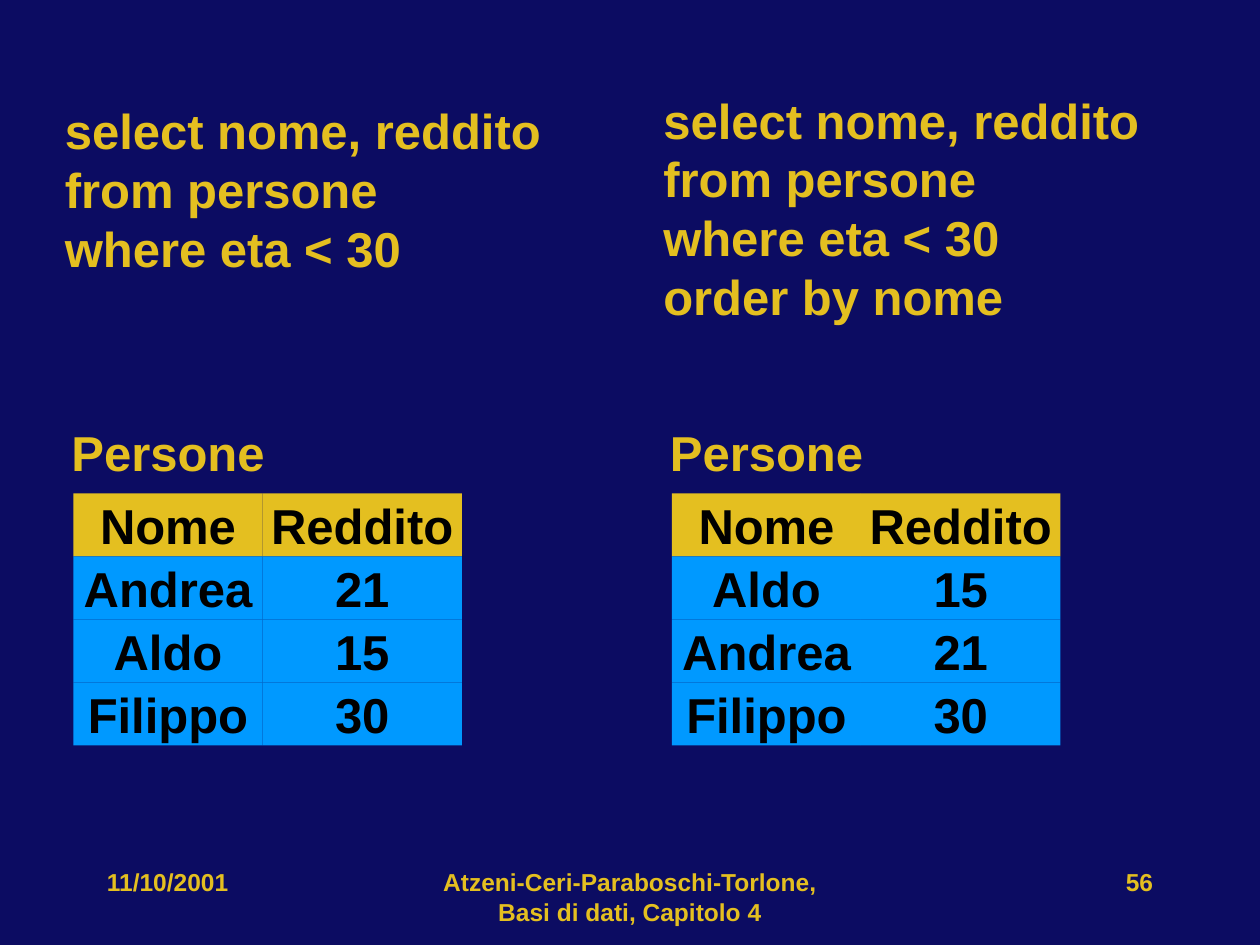
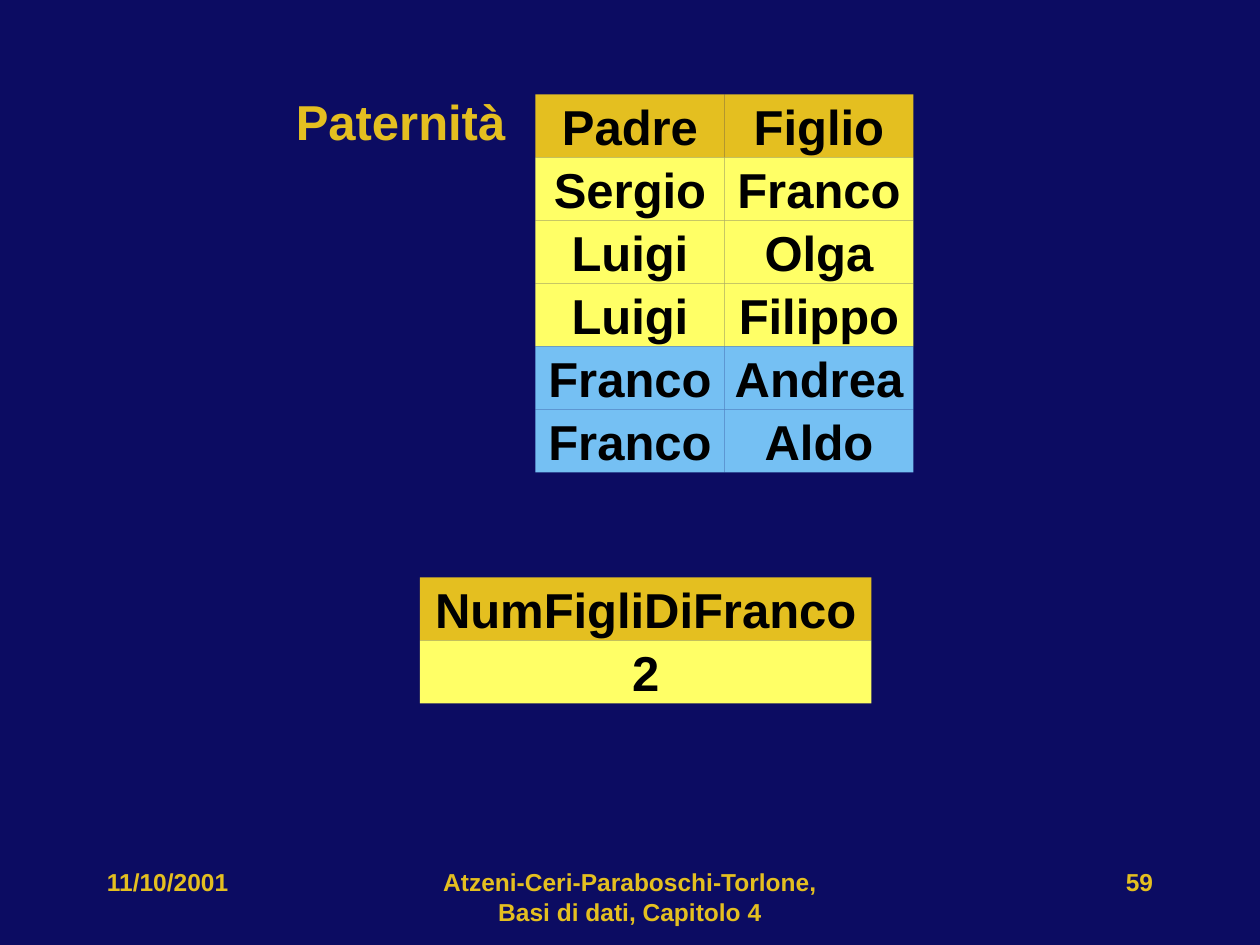
from pptx import Presentation
from pptx import util as u
from pptx.dml.color import RGBColor
from pptx.enum import shapes, text

PX = 9525  # EMU in one px, 96 px to the inch
FONT = "Arial"
BODY_SIZE, FOOTER_SIZE = 28, 14
FIRST_SPACE = 3.5
ROW_HEIGHT = 48

NAVY = RGBColor(0x0C, 0x0C, 0x62)
GOLD = RGBColor(0xE4, 0xBF, 0x20)
BLUE = RGBColor(0x00, 0x99, 0xFF)
SKY = RGBColor(0x75, 0xC0, 0xF3)
YELLOW = RGBColor(0xFF, 0xFF, 0x66)
BLACK = RGBColor(0, 0, 0)

LEFT, CENTER, RIGHT = (text.PP_ALIGN.LEFT, text.PP_ALIGN.CENTER,
                       text.PP_ALIGN.RIGHT)


def px(*lengths):
    return [u.Emu(length * PX) for length in lengths]


def write(frame, lines, color, size=BODY_SIZE, align=LEFT):
    frame.text = "\n".join(lines)
    for i, paragraph in enumerate(frame.paragraphs):
        paragraph.alignment = align
        paragraph.space_before = u.Pt(0 if i else FIRST_SPACE)
        font = paragraph.font
        font.name, font.size, font.bold = FONT, u.Pt(size), True
        font.color.rgb = color


def add_text(slide, box, lines, size=BODY_SIZE, align=LEFT):
    frame = slide.shapes.add_textbox(*px(*box)).text_frame
    frame.word_wrap = True
    write(frame, lines, GOLD, size, align)


def add_block(slide, box, words, fill, color=BLACK, align=CENTER):
    """Draw a filled rectangle with one line of text."""
    block = slide.shapes.add_shape(shapes.MSO_SHAPE.RECTANGLE, *px(*box))
    block.shadow.inherit = False
    block.fill.solid()
    block.fill.fore_color.rgb = fill
    block.line.fill.background()
    frame = block.text_frame
    frame.word_wrap = align == LEFT
    frame.vertical_anchor = text.MSO_ANCHOR.MIDDLE
    write(frame, [words], color, align=align)


def add_relation(slide, left, top, widths, rows, row_colors):
    """Draw a relation: a gold heading row, then one colour per tuple."""
    for i, (values, color) in enumerate(zip(rows, [GOLD, *row_colors])):
        for j, (value, width) in enumerate(zip(values, widths)):
            box = (left + sum(widths[:j]), top + i * ROW_HEIGHT,
                   width, ROW_HEIGHT)
            add_block(slide, box, value, color)


def add_slide(prs, number):
    """Add a blank slide with the shared footer."""
    slide = prs.slides.add_slide(prs.slide_layouts[6])
    footer = [
        (72, 200, "11/10/2001", LEFT),
        (328, 304, "Atzeni-Ceri-Paraboschi-Torlone, Basi di dati, Capitolo 4",
         CENTER),
        (688, 200, str(number), RIGHT),
    ]
    for left, width, words, align in footer:
        add_text(slide, (left, 656, width, 48), [words], FOOTER_SIZE, align)
    return slide


def add_query_result(slide, left, query_box, query, people):
    add_text(slide, query_box, query)
    add_block(slide, (left, 320, 144, 48), "Persone", NAVY, GOLD)
    add_relation(slide, left, 376, [144, 152],
                 [("Nome", "Reddito"), *people], [BLUE] * len(people))


def build_ordering(prs):
    slide = add_slide(prs, 56)
    query = ["select nome, reddito", "from persone", "where eta < 30"]
    people = [("Andrea", "21"), ("Aldo", "15"), ("Filippo", "30")]
    add_query_result(slide, 56, (40, 72, 448, 248), query, people)
    add_query_result(slide, 512, (496, 64, 384, 288),
                     query + ["order by nome"], sorted(people))


def build_count(prs):
    slide = add_slide(prs, 59)
    fathers = [("Sergio", "Franco"), ("Luigi", "Olga"), ("Luigi", "Filippo"),
               ("Franco", "Andrea"), ("Franco", "Aldo")]
    colors = [SKY if father == "Franco" else YELLOW for father, _ in fathers]
    add_block(slide, (216, 72, 192, 40), "Paternità", NAVY, GOLD, LEFT)
    add_relation(slide, 408, 72, [144, 144],
                 [("Padre", "Figlio"), *fathers], colors)
    add_relation(slide, 320, 440, [344],
                 [("NumFigliDiFranco",), (str(colors.count(SKY)),)], [YELLOW])


def main():
    prs = Presentation()
    prs.slide_width, prs.slide_height = px(960, 720)
    background = prs.slide_master.background.fill
    background.solid()
    background.fore_color.rgb = NAVY
    build_ordering(prs)
    build_count(prs)
    prs.save("out.pptx")


if __name__ == "__main__":
    main()
